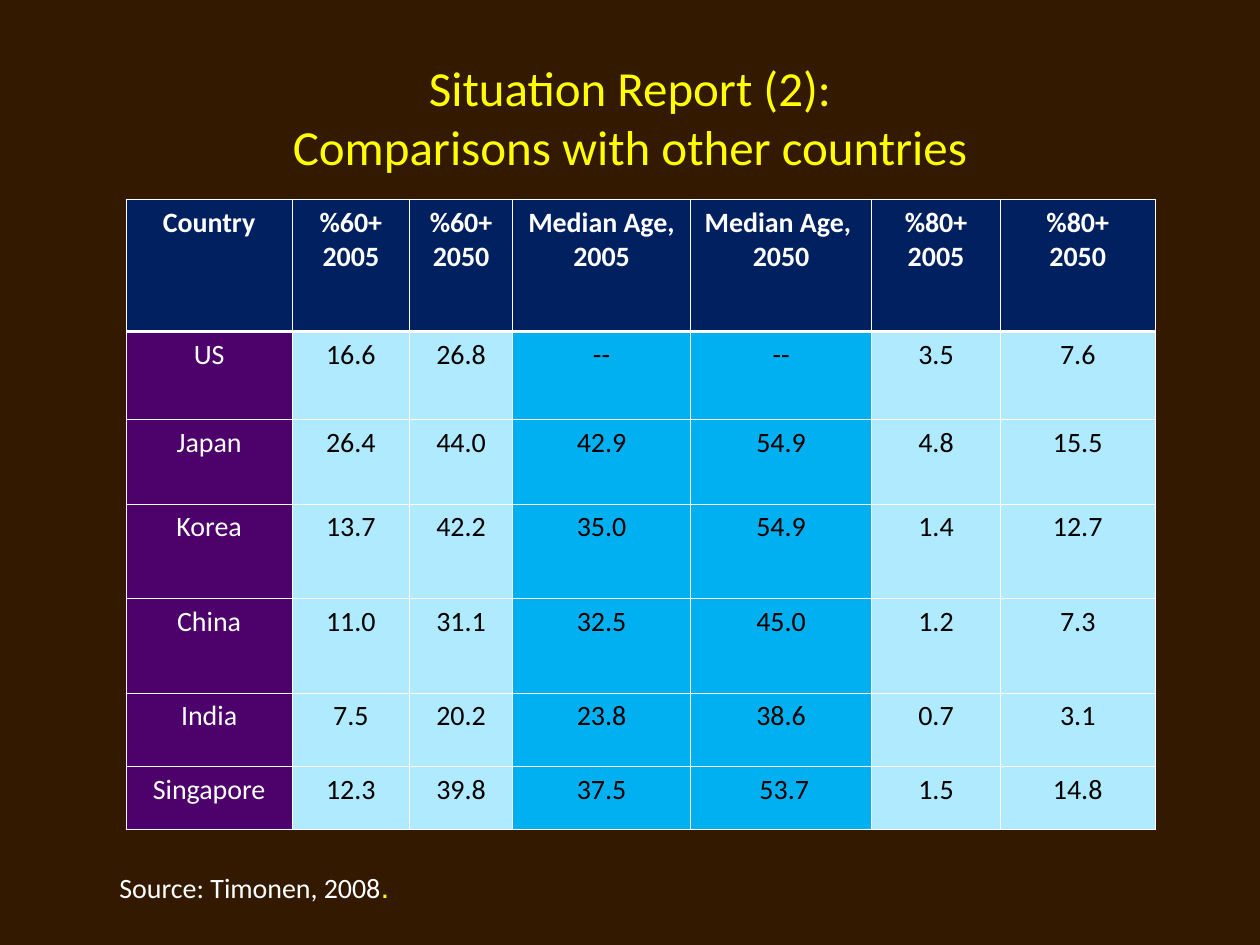
from dataclasses import dataclass
from lxml.etree import SubElement
from pptx import Presentation
from pptx.dml.color import RGBColor
from pptx.enum.text import MSO_ANCHOR, PP_ALIGN
from pptx.oxml.ns import qn
from pptx.slide import Slide
from pptx.util import Inches, Pt

COLUMN_WIDTHS = [13.2, 9.3, 8.2, 14.1, 14.4, 10.2, 12.3]
ROW_HEIGHTS = [10.5, 7, 6.7, 7.5, 7.5, 5.8, 5]
HEADERS = ["Country", "%60+\n2005", "%60+\n2050", "Median Age, 2005",
           "Median Age, \n2050", "%80+ 2005", "%80+\n2050"]
COUNTRIES = [
    ["US", "16.6", "26.8", "--", "--", "3.5", "7.6"],
    ["Japan", "26.4", "44.0", "42.9", "54.9", "4.8", "15.5"],
    ["Korea", "13.7", "42.2", "35.0", "54.9", "1.4", "12.7"],
    ["China", "11.0", "31.1", "32.5", "45.0", "1.2", "7.3"],
    ["India", "7.5", "20.2", "23.8", "38.6", "0.7", "3.1"],
    ["Singapore", "12.3", "39.8", "37.5", " 53.7", "1.5", "14.8"],
]
MEDIAN_AGE_COLUMNS = (3, 4)


def color(hex_string):
    return RGBColor.from_string(hex_string)


def grid(units):
    """Convert steps of the 100 by 75 slide grid to a length."""
    return Inches(units / 10)


@dataclass
class SlideBuilder:
    slide: Slide
    font: str = "Calibri"
    body_size: int = 16
    title_size: int = 28
    background: str = "321900"
    accent: str = "FFFF00"
    light: str = "FFFFFF"
    dark: str = "000000"
    header_fill: str = "002060"
    country_fill: str = "4D016B"
    value_fill: str = "AFEAFF"
    median_fill: str = "00B0F0"
    thin: float = 0.45
    thick: float = 1.47

    def paint_background(self):
        fill = self.slide.background.fill
        fill.solid()
        fill.fore_color.rgb = color(self.background)

    def run(self, paragraph, text, size, hex_color, font=None, bold=False):
        run = paragraph.add_run()
        run.text = text
        run.font.name = font or self.font
        run.font.size = Pt(size)
        run.font.bold = bold
        run.font.color.rgb = color(hex_color)

    def text_frame(self, column, row, columns, rows, wrap=True):
        shape = self.slide.shapes.add_textbox(*map(grid, (column, row, columns, rows)))
        shape.text_frame.word_wrap = wrap
        return shape.text_frame

    def title(self, lines, *place):
        frame = self.text_frame(*place)
        frame.vertical_anchor = MSO_ANCHOR.MIDDLE
        paragraph = frame.paragraphs[0]
        paragraph.alignment = PP_ALIGN.CENTER
        for index, line in enumerate(lines):
            if index:
                paragraph.add_line_break()
            self.run(paragraph, line, self.title_size, self.accent)

    def source_note(self, text, *place):
        paragraph = self.text_frame(*place, wrap=False).paragraphs[0]
        self.run(paragraph, text, self.body_size, self.light)
        self.run(paragraph, ".", 18, self.accent, font="Arial")

    def cell_style(self, row, column):
        """Return the fill and text colours for a table position."""
        if row == 0:
            return self.header_fill, self.light
        if column == 0:
            return self.country_fill, self.light
        if column in MEDIAN_AGE_COLUMNS:
            return self.median_fill, self.dark
        return self.value_fill, self.dark

    def borders(self, cell, row):
        top = self.thick if row == 1 else self.thin
        bottom = self.thick if row == 0 else self.thin
        properties = cell._tc.get_or_add_tcPr()
        for side, width in zip("LRTB", (self.thin, self.thin, top, bottom)):
            line = SubElement(properties, qn(f"a:ln{side}"), w=str(Pt(width)))
            fill = SubElement(line, qn("a:solidFill"))
            SubElement(fill, qn("a:srgbClr"), val=self.light)

    def cell(self, cell, text, row, column):
        fill_color, text_color = self.cell_style(row, column)
        self.borders(cell, row)
        cell.fill.solid()
        cell.fill.fore_color.rgb = color(fill_color)
        frame = cell.text_frame
        for index, line in enumerate(text.split("\n")):
            paragraph = frame.add_paragraph() if index else frame.paragraphs[0]
            paragraph.alignment = PP_ALIGN.CENTER
            self.run(paragraph, line, self.body_size, text_color, bold=row == 0)

    def table(self, rows, left, top):
        table = self.slide.shapes.add_table(
            len(rows), len(COLUMN_WIDTHS), grid(left), grid(top),
            grid(sum(COLUMN_WIDTHS)), grid(sum(ROW_HEIGHTS))).table
        table.horz_banding = False
        for column, width in zip(table.columns, COLUMN_WIDTHS):
            column.width = grid(width)
        for row, height in zip(table.rows, ROW_HEIGHTS):
            row.height = grid(height)
        for row, texts in enumerate(rows):
            for column, text in enumerate(texts):
                self.cell(table.cell(row, column), text, row, column)


def main():
    presentation = Presentation()
    presentation.slide_width, presentation.slide_height = grid(100), grid(75)
    builder = SlideBuilder(presentation.slides.add_slide(presentation.slide_layouts[6]))
    builder.paint_background()
    builder.title(["Situation Report (2):", "Comparisons with other countries"],
                  5, 3, 90, 12.5)
    builder.table([HEADERS] + COUNTRIES, 10, 15.8)
    builder.source_note("Source: Timonen, 2008", 8.5, 68.3, 23.4, 4)
    presentation.save("out.pptx")


if __name__ == "__main__":
    main()
